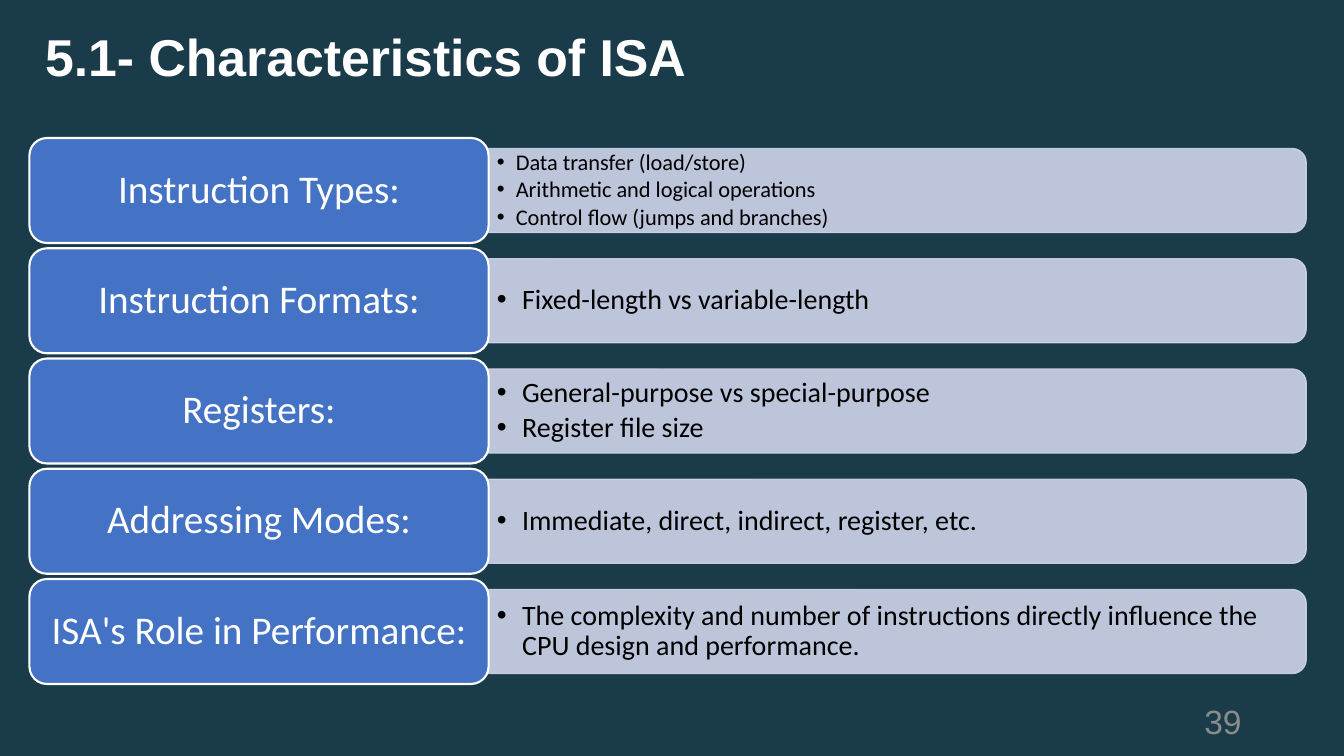
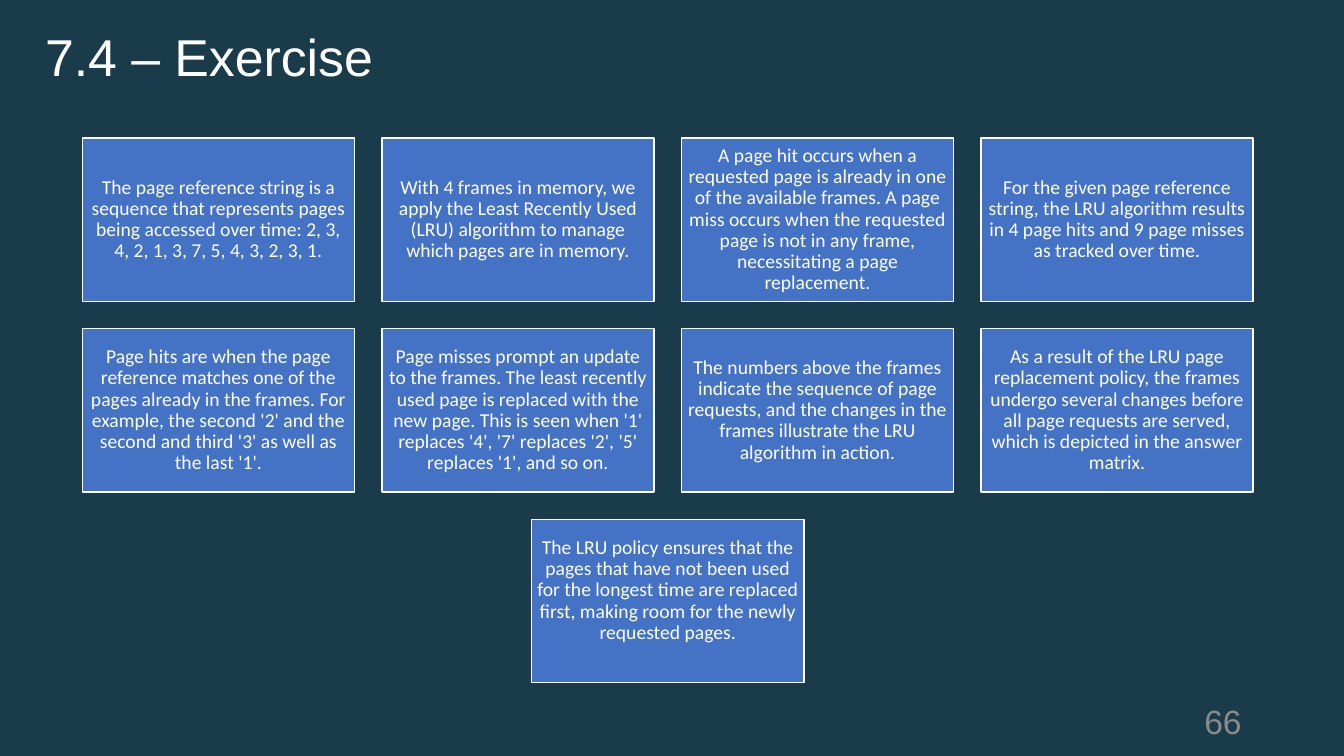
from pptx import Presentation
from pptx.dml.color import RGBColor
from pptx.enum.shapes import MSO_SHAPE as Kind
from pptx.enum.text import MSO_ANCHOR as Anchor, PP_ALIGN as Align
from pptx.oxml.ns import qn
from pptx.util import Pt
from lxml.etree import SubElement

BACK = RGBColor(0x1A, 0x3B, 0x49)
BLUE = RGBColor(0x44, 0x72, 0xC4)
PALE = RGBColor(0xCF, 0xD5, 0xEA)
WHITE = RGBColor(0xFF, 0xFF, 0xFF)
BLACK = RGBColor(0, 0, 0)
GREY = RGBColor(0x8B, 0x8B, 0x8B)
HEAD, BODY = "Arial", "Calibri"
TOP = 98.6

TRAITS = [
    ("Instruction Types:", 16, ["Data transfer (load/store)",
                                "Arithmetic and logical operations",
                                "Control flow (jumps and branches)"]),
    ("Instruction Formats:", 20, ["Fixed-length vs variable-length"]),
    ("Registers:", 20, ["General-purpose vs special-purpose",
                        "Register file size"]),
    ("Addressing Modes:", 20, ["Immediate, direct, indirect, register, etc."]),
    ("ISA's Role in Performance:", 20,
     ["The complexity and number of instructions directly influence the "
      "CPU design and performance."]),
]

NOTES = [
    "The page reference string is a sequence that represents pages being "
    "accessed over time: 2, 3, 4, 2, 1, 3, 7, 5, 4, 3, 2, 3, 1.",
    "With 4 frames in memory, we apply the Least Recently Used (LRU) "
    "algorithm to manage which pages are in memory.",
    "A page hit occurs when a requested page is already in one of the "
    "available frames. A page miss occurs when the requested page is not in "
    "any frame, necessitating a page replacement.",
    "For the given page reference string, the LRU algorithm results in "
    "4 page hits and 9 page misses as tracked over time.",
    "Page hits are when the page reference matches one of the pages already "
    "in the frames. For example, the second '2' and the second and third '3' "
    "as well as the last '1'.",
    "Page misses prompt an update to the frames. The least recently used "
    "page is replaced with the new page. This is seen when '1' replaces '4', "
    "'7' replaces '2', '5' replaces '1', and so on.",
    "The numbers above the frames indicate the sequence of page requests, "
    "and the changes in the frames illustrate the LRU algorithm in action.",
    "As a result of the LRU page replacement policy, the frames undergo "
    "several changes before all page requests are served, which is depicted "
    "in the answer matrix.",
    "The LRU policy ensures that the pages that have not been used for the "
    "longest time are replaced first, making room for the newly requested "
    "pages.",
]


def write(shape, lines, size, color, font=BODY, bold=False, align=Align.LEFT,
          inset=(7.2, 3.6, 7.2, 3.6), hang=0, lead=0.9):
    """Fill a shape with paragraphs; hang is the bullet indent, 0 for none."""
    frame = shape.text_frame
    frame.word_wrap = True
    frame.vertical_anchor = Anchor.MIDDLE
    (frame.margin_left, frame.margin_top,
     frame.margin_right, frame.margin_bottom) = map(Pt, inset)
    for i, line in enumerate(lines):
        para = frame.add_paragraph() if i else frame.paragraphs[0]
        para.alignment = align
        if hang:
            props = para._p.get_or_add_pPr()
            props.set("marL", str(Pt(hang)))
            props.set("indent", str(-Pt(hang)))
            SubElement(props, qn("a:buFont")).set("typeface", HEAD)
            SubElement(props, qn("a:buChar")).set("char", "•")
        para.line_spacing = lead
        if i:
            para.space_before = Pt(0.15 * size)
        run = para.add_run()
        run.text = line
        run.font.name, run.font.size = font, Pt(size)
        run.font.bold, run.font.color.rgb = bold, color


class Deck:
    def __init__(self):
        self.show = Presentation()
        self.show.slide_width, self.show.slide_height = Pt(960), Pt(540)
        self.slide = None

    def start(self, title, page, bold=False):
        """Open a slide with its background, title and page number."""
        self.slide = self.show.slides.add_slide(self.show.slide_layouts[6])
        fill = self.slide.background.fill
        fill.solid()
        fill.fore_color.rgb = BACK
        write(self.text(25.2, 18, 828, 49), [title], 37, WHITE, HEAD, bold)
        write(self.text(678, 500.4, 216, 28.8), [str(page)], 24, GREY, HEAD,
              align=Align.RIGHT, lead=1.0)

    def text(self, *box):
        return self.slide.shapes.add_textbox(*map(Pt, box))

    def block(self, kind, box, fill, line, width=1.0):
        shape = self.slide.shapes.add_shape(kind, *map(Pt, box))
        shape.shadow.inherit = False
        shape.fill.solid()
        shape.fill.fore_color.rgb = fill
        shape.line.color.rgb = line
        shape.line.width = Pt(width)
        return shape

    def bar(self, box, lines, size):
        """Draw a translucent bar with bullets; its left end lies under a label."""
        shape = self.block(Kind.ROUNDED_RECTANGLE, box, PALE, PALE)
        for color in shape._element.spPr.iter(qn("a:srgbClr")):
            SubElement(color, qn("a:alpha")).set("val", "90000")
        write(shape, lines, size, BLACK, inset=(21, 3, 6, 3),
              hang=13.5 if size < 20 else 18)

    def label(self, box, line):
        shape = self.block(Kind.ROUNDED_RECTANGLE, box, BLUE, WHITE, 1.5)
        write(shape, [line], 28, WHITE, align=Align.CENTER, inset=(9, 4, 9, 4))

    def card(self, box, line, foot=4):
        shape = self.block(Kind.RECTANGLE, box, BLUE, WHITE)
        write(shape, [line], 14, WHITE, align=Align.CENTER,
              inset=(4, 4, 4, foot))

    def traits(self):
        self.start("5.1- Characteristics of ISA", 39, bold=True)
        left, wide, high, slim, under = 21, 328, 75, 60, 18
        start = left + wide - under
        for i, (name, size, lines) in enumerate(TRAITS):
            y = TOP + i * high * 1.05
            self.bar((start, y + (high - slim) / 2, 933 - start, slim),
                     lines, size)
            self.label((left, y, wide, high), name)

    def notes(self):
        self.start("7.4 – Exercise", 66)
        cols, wide, high, gap, mid = 4, 194.5, 116.7, 19.45, 477
        for i, note in enumerate(NOTES):
            row, col = divmod(i, cols)
            count = min(cols, len(NOTES) - row * cols)
            left = mid - (count * (wide + gap) - gap) / 2
            box = (left + col * (wide + gap), TOP + row * (high + gap),
                   wide, high)
            self.card(box, note, foot=19 if count == 1 else 4)


def main():
    deck = Deck()
    deck.traits()
    deck.notes()
    deck.show.save("out.pptx")


if __name__ == "__main__":
    main()
